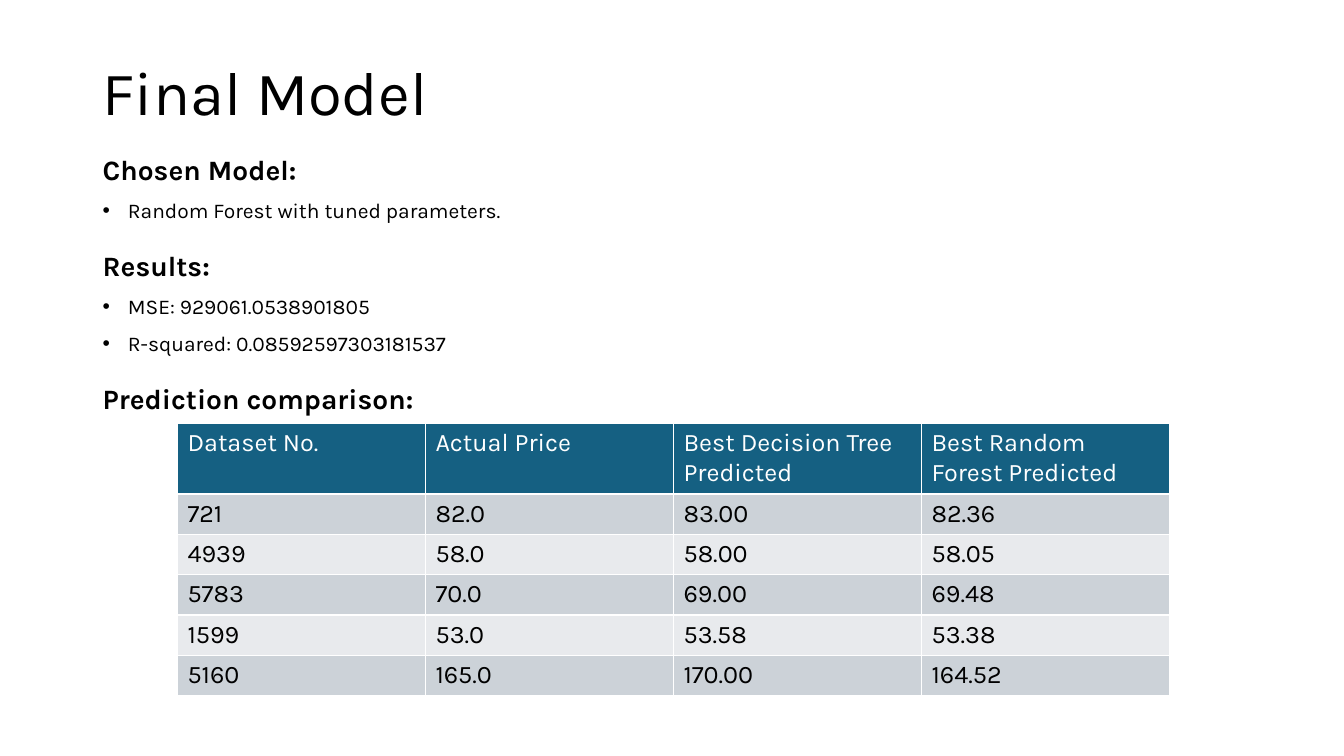
from pptx import Presentation
from pptx.dml.color import RGBColor
from pptx.enum import text
from pptx.oxml import xmlchemy
from pptx.util import Inches, Pt

FONT = "Karla"
BLACK = RGBColor(0x00, 0x00, 0x00)
WHITE = RGBColor(0xFF, 0xFF, 0xFF)
TEAL = RGBColor(0x15, 0x60, 0x82)
GREY = RGBColor(0xCC, 0xD2, 0xD8)
PALE = RGBColor(0xE8, 0xEA, 0xED)

SECTIONS = [
    ("Chosen Model:", ["Random Forest with tuned parameters."]),
    ("Results:", ["MSE: 929061.0538901805", "R-squared: 0.08592597303181537"]),
    ("Prediction comparison:", []),
]
PREDICTIONS = [
    ("Dataset No.", "Actual Price", "Best Decision Tree Predicted", "Best Random Forest Predicted"),
    ("721", "82.0", "83.00", "82.36"),
    ("4939", "58.0", "58.00", "58.05"),
    ("5783", "70.0", "69.00", "69.48"),
    ("1599", "53.0", "53.58", "53.38"),
    ("5160", "165.0", "170.00", "164.52"),
]


def style(paragraph, size, color=BLACK, bold=False):
    font = paragraph.font
    font.name = FONT
    font.size = Pt(size)
    font.bold = bold
    font.color.rgb = color


def add_line(frame, words, size, before, bold=False):
    paragraph = frame.add_paragraph() if frame.text else frame.paragraphs[0]
    paragraph.text = words
    paragraph.line_spacing = 0.9
    paragraph.space_before = Pt(before)
    style(paragraph, size, bold=bold)
    return paragraph


deck = Presentation()
deck.slide_width = Inches(13.33)
deck.slide_height = Inches(7.5)
page = deck.slides.add_slide(deck.slide_layouts[6])

title = page.shapes.add_textbox(Inches(0.92), Inches(0.4), Inches(11.5), Inches(1.1)).text_frame
title.word_wrap = True
title.vertical_anchor = text.MSO_ANCHOR.MIDDLE
add_line(title, "Final Model", 44, 0)

body = page.shapes.add_textbox(Inches(0.92), Inches(1.5), Inches(11.5), Inches(4.76)).text_frame
body.word_wrap = True
for number, (heading, points) in enumerate(SECTIONS):
    add_line(body, heading, 20, 21 if number else 0, bold=True)
    for point in points:
        properties = add_line(body, point, 15, 10)._p.get_or_add_pPr()
        properties.set("marL", str(Inches(0.25)))
        properties.set("indent", str(Inches(-0.25)))
        bullet_font = xmlchemy.OxmlElement("a:buFont")
        bullet_font.set("typeface", "Arial")
        bullet = xmlchemy.OxmlElement("a:buChar")
        bullet.set("char", "•")
        for element in (bullet_font, bullet):
            properties.insert_element_before(element, "a:tabLst", "a:defRPr", "a:extLst")

table = page.shapes.add_table(
    len(PREDICTIONS), 4, Inches(1.76), Inches(4.2), Inches(9.85), Inches(2.65)
).table
for column in table.columns:
    column.width = Inches(2.46)
for row, values in enumerate(PREDICTIONS):
    table.rows[row].height = Inches(0.39 if row else 0.69)
    for column, value in enumerate(values):
        cell = table.cell(row, column)
        cell.text = value
        cell.fill.solid()
        cell.fill.fore_color.rgb = TEAL if row == 0 else GREY if row % 2 else PALE
        style(cell.text_frame.paragraphs[0], 18, BLACK if row else WHITE)

deck.save("out.pptx")
